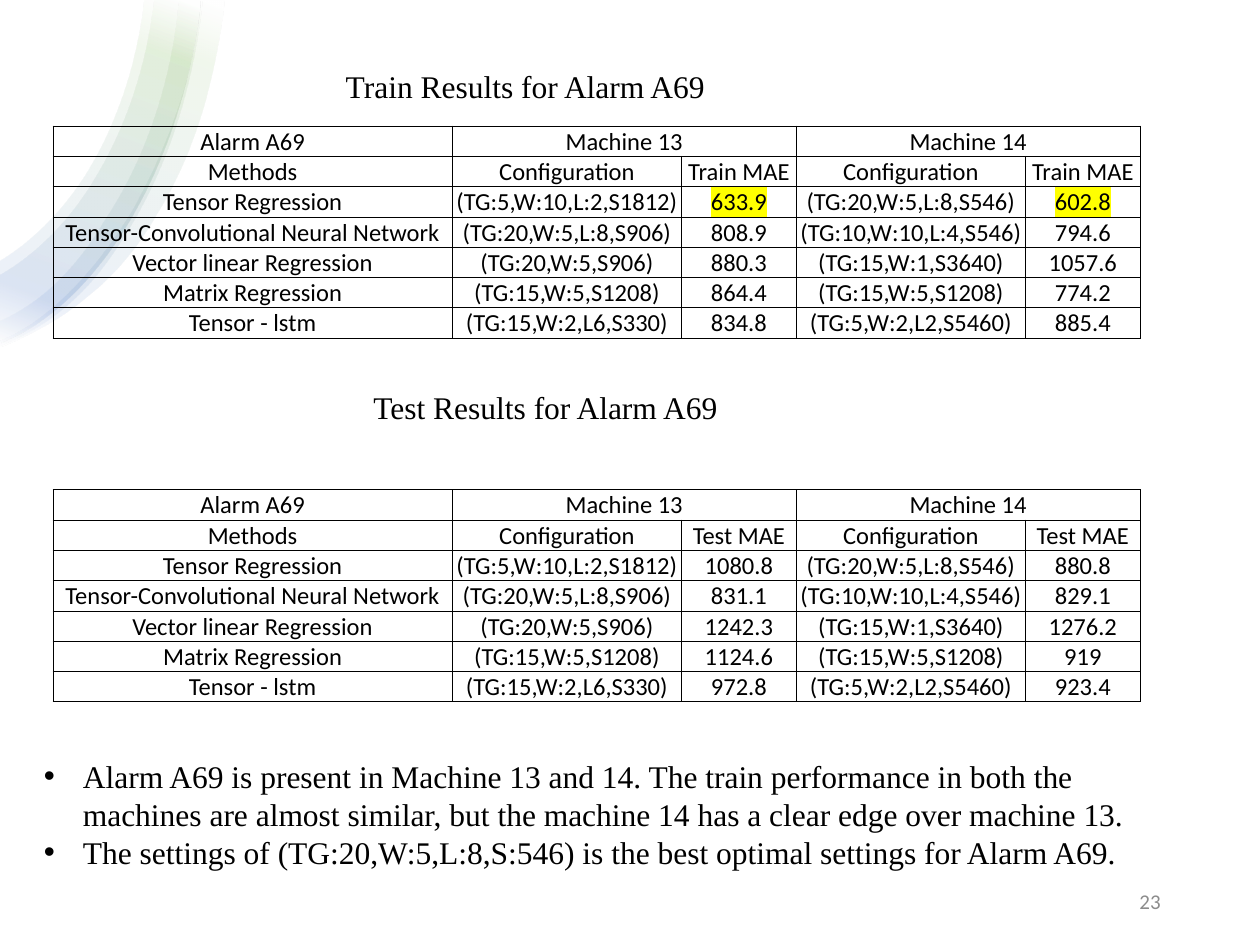
from lxml.etree import SubElement
from pptx import Presentation
from pptx.dml.color import RGBColor
from pptx.enum.shapes import MSO_SHAPE as Shape
from pptx.enum.text import MSO_ANCHOR as Anchor, PP_ALIGN as Align
from pptx.oxml.ns import qn
from pptx.util import Inches, Pt

WIDE, HIGH = 10, 7.5
SERIF, SANS = "Times New Roman", "Calibri"
BLACK, GREY, WHITE, YELLOW = "000000", "8C8C8C", "FFFFFF", "FFFF00"
PLAIN_STYLE = "{2D5ABB26-0587-4C30-8999-92F81FD0307C}"

# Each band is a closed outline in hundredths of an inch:
# pairs are line ends, sixes are cubic curves.
BANDS = [
    [(0, 275), (1, 275), (25, 265, 48, 253, 67, 237),
     (89, 220, 108, 198, 123, 172), (153, 124, 170, 68, 178, 0),
     (159, 0), (154, 63, 130, 122, 104, 168),
     (77, 212, 44, 248, 9, 266), (0, 270)],
    [(0, 207), (0, 273), (14, 266), (87, 228, 143, 124, 158, 10),
     (159, 0), (114, 0), (108, 54, 90, 103, 68, 138),
     (50, 167, 25, 192, 0, 207)],
    [(0, 254), (0, 274), (13, 268), (45, 253, 72, 229, 95, 193),
     (132, 138, 153, 72, 161, 0), (142, 0),
     (136, 67, 114, 129, 82, 176), (60, 213, 32, 240, 0, 254)],
    [(0, 218), (0, 272), (14, 266), (87, 228, 143, 124, 158, 10),
     (159, 0), (122, 0), (115, 60, 96, 108, 73, 145),
     (54, 176, 28, 202, 0, 218)],
]
STOPS = [(2, WHITE), (16, "70AD47"), (85, "4472C4"), (100, WHITE)]
BAND_ANGLE, BAND_ALPHA = 110, 10

COLS = [3.17, 1.82, 0.91, 1.82, 0.91]
ROW, GAP_ROWS = 0.24, 5
TOP_HEAD = ["Alarm A69", "Machine 13", "", "Machine 14", ""]
METHODS = [
    ("Tensor Regression", "(TG:5,W:10,L:2,S1812)", "(TG:20,W:5,L:8,S546)"),
    ("Tensor-Convolutional Neural Network", "(TG:20,W:5,L:8,S906)",
     "(TG:10,W:10,L:4,S546)"),
    ("Vector linear Regression", "(TG:20,W:5,S906)", "(TG:15,W:1,S3640)"),
    ("Matrix Regression", "(TG:15,W:5,S1208)", "(TG:15,W:5,S1208)"),
    ("Tensor - lstm", "(TG:15,W:2,L6,S330)", "(TG:5,W:2,L2,S5460)"),
]
TRAIN = [("633.9", "602.8"), ("808.9", "794.6"), ("880.3", "1057.6"),
         ("864.4", "774.2"), ("834.8", "885.4")]
TEST = [("1080.8", "880.8"), ("831.1", "829.1"), ("1242.3", "1276.2"),
        ("1124.6", "919"), ("972.8", "923.4")]
BEST = TRAIN[0]

TITLES = [("Train Results for Alarm A69", 1.67, 0.48),
          ("Test Results for Alarm A69", 1.83, 3.03)]
NOTES = [
    "Alarm A69 is present in Machine 13 and 14. The train performance in both "
    "the machines are almost similar, but the machine 14 has a clear edge over "
    "machine 13.",
    "The settings of (TG:20,W:5,L:8,S:546) is the best optimal settings for "
    "Alarm A69.",
]


def rgb(code):
    return RGBColor.from_string(code)


def add(parent, tag, **attrs):
    """Append an XML child such as a:ln with the given attributes."""
    return SubElement(parent, qn(tag), {k: str(v) for k, v in attrs.items()})


def set_font(par, name, size, color=BLACK):
    par.font.name, par.font.size = name, Pt(size)
    par.font.color.rgb = rgb(color)


def bend(shape, segs):
    """Turn the straight segments that have control points into curves."""
    lines = list(shape._element.iter(qn("a:lnTo")))
    for line, seg in zip(lines, segs):
        if len(seg) == 6:
            line.tag = qn("a:cubicBezTo")
            for kid in list(line):
                line.remove(kid)
            for x, y in zip(seg[::2], seg[1::2]):
                add(line, "a:pt", x=x, y=y)


def draw_band(slide, band):
    pen = slide.shapes.build_freeform(*band[0], scale=Inches(0.01))
    pen.add_line_segments([seg[-2:] for seg in band[1:]], close=True)
    shape = pen.convert_to_shape()
    bend(shape, band[1:])
    shape.shadow.inherit = False
    shape.line.fill.background()
    shape.fill.gradient()
    grad = shape.fill._xPr.find(qn("a:gradFill"))
    for kid in list(grad):
        grad.remove(kid)
    stops = add(grad, "a:gsLst")
    for pos, code in STOPS:
        stop = add(stops, "a:gs", pos=pos * 1000)
        add(add(stop, "a:srgbClr", val=code), "a:alpha", val=BAND_ALPHA * 1000)
    add(grad, "a:lin", ang=BAND_ANGLE * 60000, scaled=0)


def add_box(slide, at, texts, size=18, font=SERIF, color=BLACK,
            align=Align.LEFT, bullet=False, anchor=Anchor.TOP):
    frame = slide.shapes.add_textbox(*map(Inches, at)).text_frame
    frame.word_wrap, frame.vertical_anchor = True, anchor
    for i, text in enumerate(texts):
        par = frame.paragraphs[0] if i == 0 else frame.add_paragraph()
        par.text, par.alignment = text, align
        if bullet:
            props = par._p.get_or_add_pPr()
            props.set("marL", str(Inches(0.31)))
            props.set("indent", str(-Inches(0.31)))
            add(props, "a:buFont", typeface="Arial")
            add(props, "a:buChar", char="•")
        set_font(par, font, size, color)


def block(label, scores):
    """Rows of one result block, headings included."""
    rows = [TOP_HEAD,
            ["Methods", "Configuration", label, "Configuration", label]]
    for (name, left, right), (one, two) in zip(METHODS, scores):
        rows.append([name, left, one, right, two])
    return rows


def fill_cell(cell, text, ruled):
    cell.margin_left = cell.margin_right = cell.margin_top = Pt(0.5)
    cell.margin_bottom = 0
    cell.vertical_anchor = Anchor.BOTTOM
    par = cell.text_frame.paragraphs[0]
    par.alignment = Align.CENTER
    set_font(par, SANS, 14)
    if text:
        run = par.add_run()
        run.text = text
        if text in BEST:
            mark = add(run._r.get_or_add_rPr(), "a:highlight")
            add(mark, "a:srgbClr", val=YELLOW)
    else:
        add(par._p, "a:endParaRPr", sz=1400)
    if ruled:
        for side in "LRTB":
            line = add(cell._tc.get_or_add_tcPr(), f"a:ln{side}", w=Pt(0.5))
            add(add(line, "a:solidFill"), "a:srgbClr", val=BLACK)
    cell.fill.background()


def add_results(slide):
    gap = [[""] * len(COLS)] * GAP_ROWS
    rows = block("Train MAE", TRAIN) + gap + block("Test MAE", TEST)
    table = slide.shapes.add_table(
        len(rows), len(COLS), Inches(0.42), Inches(1),
        Inches(sum(COLS)), Inches(ROW * len(rows))).table
    table.first_row = table.horz_banding = False
    table._tbl.tblPr.find(qn("a:tableStyleId")).text = PLAIN_STYLE
    for col, width in zip(table.columns, COLS):
        col.width = Inches(width)
    for r, row in enumerate(rows):
        table.rows[r].height = Inches(ROW)
        for c, text in enumerate(row):
            fill_cell(table.cell(r, c), text, ruled=any(row))
        if row is TOP_HEAD:
            for c in (1, 3):
                table.cell(r, c).merge(table.cell(r, c + 1))


def main():
    deck = Presentation()
    deck.slide_width, deck.slide_height = Inches(WIDE), Inches(HIGH)
    slide = deck.slides.add_slide(deck.slide_layouts[6])
    back = slide.shapes.add_shape(Shape.RECTANGLE, Inches(-0.01), 0,
                                  Inches(WIDE), Inches(HIGH))
    back.shadow.inherit = False
    back.fill.solid()
    back.fill.fore_color.rgb = rgb(WHITE)
    back.line.fill.background()
    for band in BANDS:
        draw_band(slide, band)
    add_box(slide, (7.06, 6.95, 2.25, 0.4), ["23"], 12, SANS, GREY,
            Align.RIGHT, anchor=Anchor.MIDDLE)
    add_results(slide)
    for text, left, top in TITLES:
        add_box(slide, (left, top, 5, 0.71), [text], align=Align.CENTER)
    add_box(slide, (0.25, 5.96, 9.06, 1.62), NOTES, bullet=True)
    deck.save("out.pptx")


if __name__ == "__main__":
    main()
